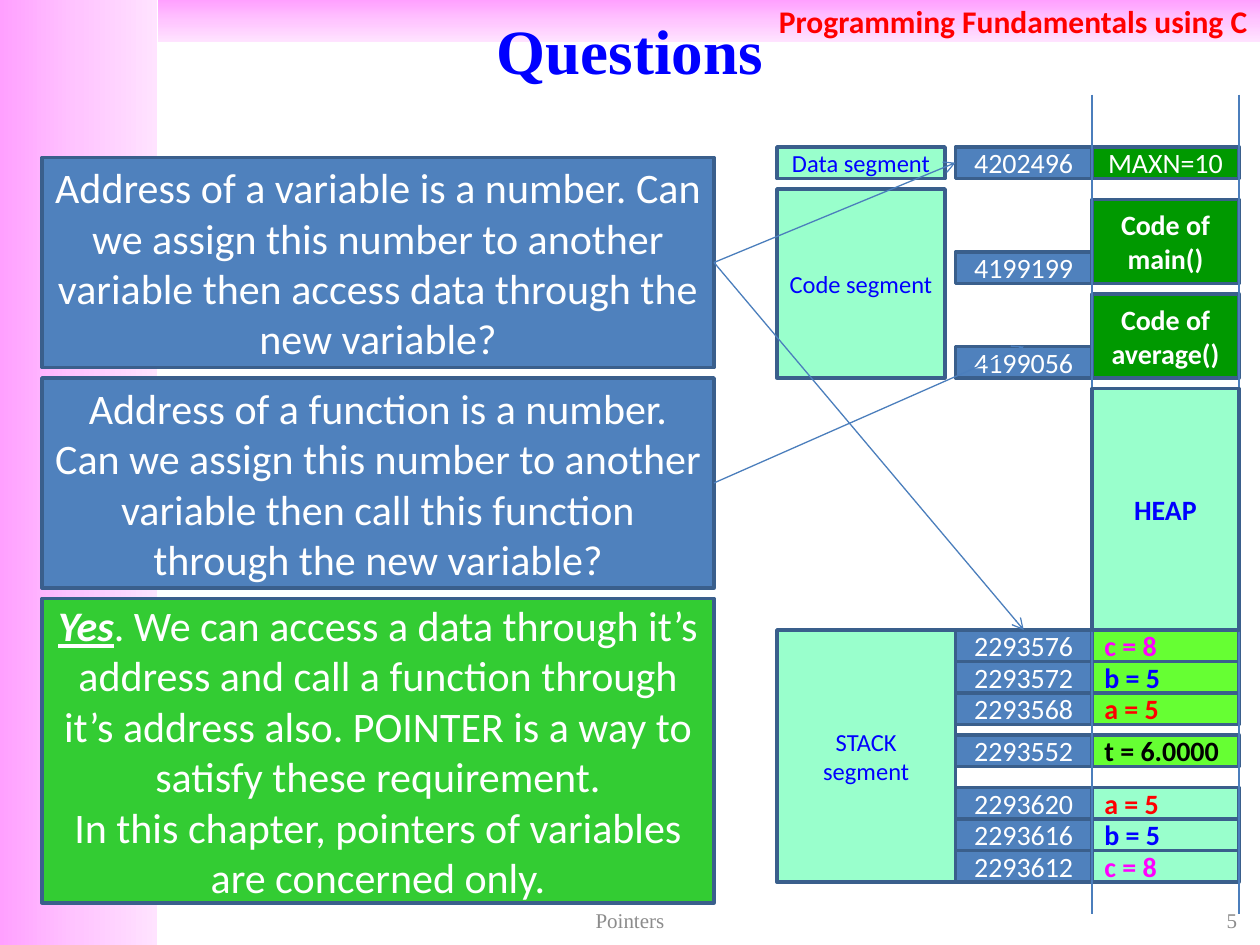
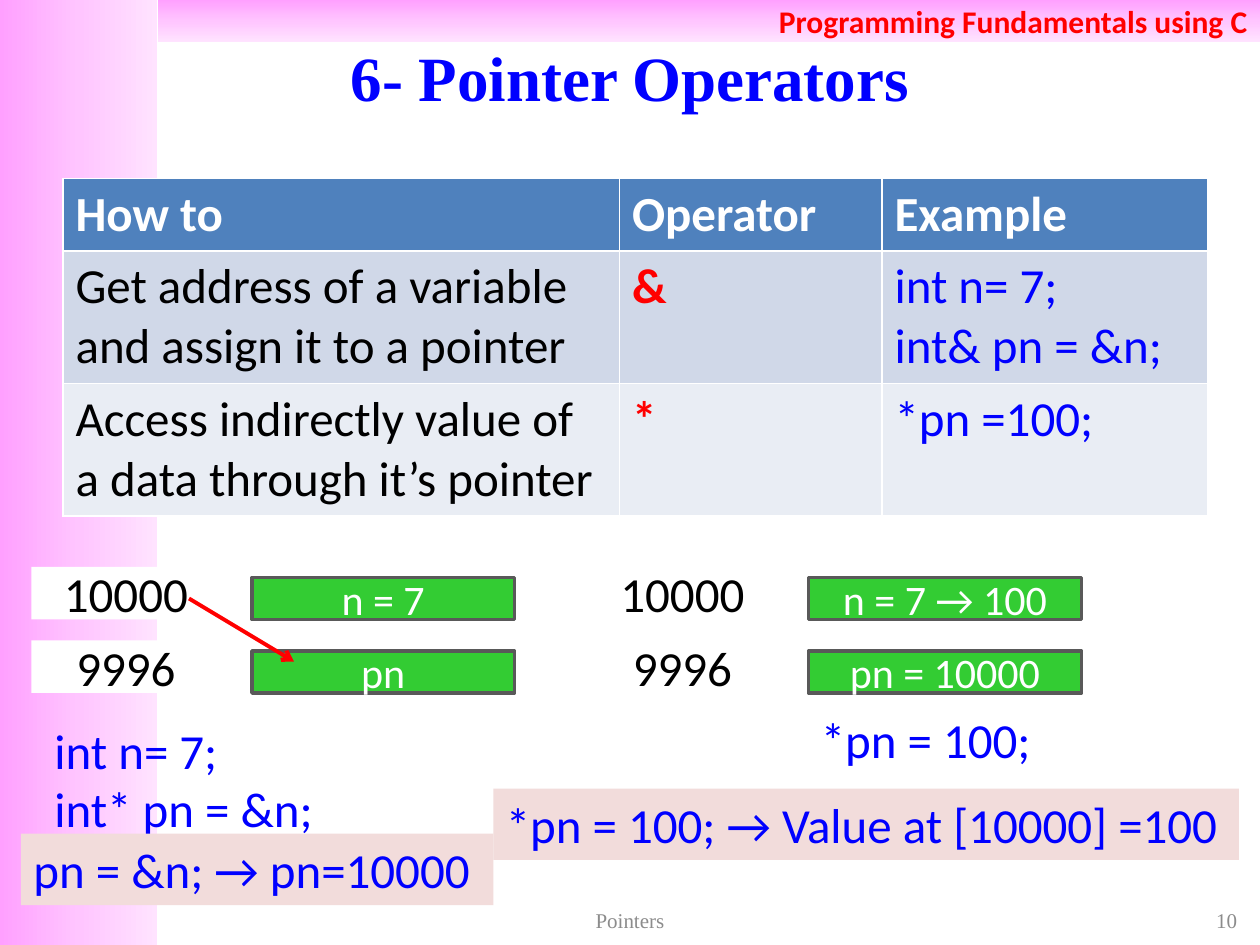
from dataclasses import dataclass
from typing import NamedTuple, Optional

from pptx import Presentation
from pptx.dml.color import RGBColor
from pptx.enum.shapes import MSO_CONNECTOR, MSO_SHAPE
from pptx.enum.text import MSO_ANCHOR, MSO_AUTO_SIZE, PP_ALIGN
from pptx.oxml import parse_xml
from pptx.oxml.ns import nsdecls
from pptx.oxml.xmlchemy import OxmlElement
from pptx.util import Inches, Pt

# Grid: 120 columns by 90 rows on a 10 x 7.5 inch slide
WIDTH, HEIGHT = Inches(10), Inches(7.5)
COLS, ROWS = 120, 90


@dataclass(frozen=True)
class Theme:
    body_font: str = "Calibri"
    title_font: str = "Times New Roman"
    white: str = "FFFFFF"
    black: str = "000000"
    red: str = "FF0000"
    blue: str = "0000FF"
    magenta: str = "FF00FF"
    grey: str = "8C8C8C"
    accent: str = "4F81BD"
    edge: str = "3A5F8C"
    dark_edge: str = "595959"
    wire: str = "4B7EBC"
    code: str = "009900"
    mint: str = "99FFCC"
    lime: str = "66FF33"
    green: str = "33CC33"
    rose: str = "F2DCDB"
    bands: tuple = ("D0D8E8", "E9EDF4")
    gradient: tuple = ("FFA0FF", "FFC5FF", "FFE3FF")
    title: int = 36
    large: int = 28
    medium: int = 24
    header: int = 18
    cell: int = 16
    label: int = 14
    footer: int = 12


T = Theme()


@dataclass(frozen=True)
class Box:
    """Text block on the grid; each line of text is a paragraph."""
    x: float
    y: float
    w: float
    h: float
    text: str = ""
    size: int = T.cell
    color: str = T.white
    fill: Optional[str] = None
    line: Optional[str] = None
    bold: bool = False
    align: PP_ALIGN = PP_ALIGN.CENTER
    anchor: MSO_ANCHOR = MSO_ANCHOR.MIDDLE
    font: str = T.body_font
    lead: str = ""


class MemoryCell(NamedTuple):
    row: float
    address: str
    value: str
    fill: str
    color: str


class Variable(NamedTuple):
    x: int
    y: int
    address: str
    value: str
    width: int


def col(n: float) -> int:
    return round(WIDTH * n / COLS)


def row(n: float) -> int:
    return round(HEIGHT * n / ROWS)


def area(x: float, y: float, w: float, h: float) -> tuple:
    return col(x), row(y), col(w), row(h)


def rgb(color: str) -> RGBColor:
    return RGBColor.from_string(color)


def add_run(p, text: str, size: int, color: str, bold: bool = False,
            font: str = T.body_font):
    r = p.add_run()
    r.text = text
    r.font.size, r.font.name, r.font.bold = Pt(size), font, bold
    r.font.color.rgb = rgb(color)
    return r


def write(tf, b: Box) -> None:
    tf.word_wrap = True
    tf.auto_size = MSO_AUTO_SIZE.NONE
    tf.vertical_anchor = b.anchor
    for i, line in enumerate(b.text.split("\n")):
        p = tf.paragraphs[0] if i == 0 else tf.add_paragraph()
        p.alignment = b.align
        if i == 0 and b.lead:
            r = add_run(p, b.lead, b.size, b.color, True, b.font)
            r.font.italic = r.font.underline = True
        add_run(p, line, b.size, b.color, b.bold, b.font)


def add_box(s, b: Box):
    place = area(b.x, b.y, b.w, b.h)
    if b.fill is None:
        sp = s.shapes.add_textbox(*place)
    else:
        sp = s.shapes.add_shape(MSO_SHAPE.RECTANGLE, *place)
        sp.shadow.inherit = False
        sp.fill.solid()
        sp.fill.fore_color.rgb = rgb(b.fill)
        if b.line:
            sp.line.color.rgb, sp.line.width = rgb(b.line), Pt(2)
        else:
            sp.line.fill.background()
    write(sp.text_frame, b)
    return sp


def add_line(s, x1: float, y1: float, x2: float, y2: float,
             color: str = T.wire, width: float = 0.75, arrow: bool = False):
    c = s.shapes.add_connector(MSO_CONNECTOR.STRAIGHT,
                               col(x1), row(y1), col(x2), row(y2))
    c.line.color.rgb, c.line.width = rgb(color), Pt(width)
    if arrow:
        tail = OxmlElement("a:tailEnd")
        tail.set("type", "arrow")
        c.line._get_or_add_ln().append(tail)
    c._element.spPr.append(OxmlElement("a:effectLst"))
    return c


def add_link(s, start, start_side: int, end, end_side: int) -> None:
    c = add_line(s, 0, 0, 1, 1, arrow=True)
    c.begin_connect(start, start_side)
    c.end_connect(end, end_side)


# Shared bands, moved from a slide into its layout
def add_bands(s) -> None:
    bands = ((Box(0, 0, 15, ROWS), 0),
             (Box(15, 0, 105, 4, "Programming Fundamentals using C", T.header,
                  T.red, bold=True, align=PP_ALIGN.RIGHT), 90))
    for i, (b, angle) in enumerate(bands):
        sp = s.shapes.add_shape(MSO_SHAPE.RECTANGLE, *area(b.x, b.y, b.w, b.h))
        stops = "".join(f'<a:gs pos="{k * 50000}"><a:srgbClr val="{c}"/></a:gs>'
                        for k, c in enumerate(T.gradient))
        sp._element.spPr.append(parse_xml(
            f'<a:gradFill {nsdecls("a")}><a:gsLst>{stops}</a:gsLst>'
            f'<a:lin ang="{angle * 60000}" scaled="0"/></a:gradFill>'))
        sp.line.fill.background()
        sp.shadow.inherit = False
        if b.text:
            write(sp.text_frame, b)
        s.slide_layout.shapes.element.insert(2 + i, sp._element)


def set_title(s, b: Box) -> None:
    sp = s.shapes.title
    sp.left, sp.top, sp.width, sp.height = area(b.x, b.y, b.w, b.h)
    write(sp.text_frame, b)


def add_footer(s, number: int) -> None:
    for x, w, text, align in ((41, 38, "Pointers", PP_ALIGN.CENTER),
                              (91, 28, str(number), PP_ALIGN.RIGHT)):
        add_box(s, Box(x, 86, w, 3.2, text, T.footer, T.grey, align=align,
                       font=T.title_font))


def title_box(x: float, y: float, w: float, text: str) -> Box:
    return Box(x, y, w, 7.4, text, T.title, T.blue, bold=True,
               font=T.title_font)


# Slide: questions and the memory map
CELLS = (
    MemoryCell(60, "2293576", "c = 8", T.lime, T.magenta),
    MemoryCell(63, "2293572", "b = 5", T.lime, T.blue),
    MemoryCell(66, "2293568", "a = 5", T.lime, T.red),
    MemoryCell(70, "2293552", "t = 6.0000", T.lime, T.black),
    MemoryCell(75, "2293620", "a = 5", T.mint, T.red),
    MemoryCell(78, "2293616", "b = 5", T.mint, T.blue),
    MemoryCell(81, "2293612", "c = 8", T.mint, T.magenta),
)
ADDRESSES = ((14, "4202496"), (24, "4199199"), (33, "4199056"))
BLOCKS = (
    Box(104, 14, 14, 3, "MAXN=10", fill=T.code, line=T.edge),
    Box(104, 19, 14, 8, "Code of main()", fill=T.code, line=T.edge, bold=True),
    Box(104, 28, 14, 8, "Code of average()", fill=T.code, line=T.edge,
        bold=True),
)
HEAP = Box(104, 37, 14, 23, "HEAP", color=T.blue, fill=T.mint, line=T.edge,
           bold=True)
SEGMENTS = ((14, 16, 3, "Data segment"), (18, 16, 18, "Code segment"),
            (60, 17, 24, "STACK\nsegment"))
PANELS = (
    (15, 20, T.accent, "", "Address of a variable is a number. Can we assign "
     "this number to another variable then access data through the new "
     "variable?"),
    (36, 20, T.accent, "", "Address of a function is a number. Can we assign "
     "this number to another variable then call this function through the "
     "new variable?"),
    (57, 29, T.green, "Yes", ". We can access a data through it’s address and "
     "call a function through it’s address also. POINTER is a way to satisfy "
     "these requirement.\nIn this chapter, pointers of variables are "
     "concerned only."),
)


def build_questions(s) -> None:
    set_title(s, title_box(2, 1, 116, "Questions"))
    # Addresses and values
    labels = ADDRESSES + tuple((c.row, c.address) for c in CELLS)
    address = {text: add_box(s, Box(91, y, 13, 3, text, fill=T.accent,
                                    line=T.edge)) for y, text in labels}
    for b in BLOCKS:
        add_box(s, b)
    for c in CELLS:
        add_box(s, Box(104, c.row, 14, 3, c.value, color=c.color, fill=c.fill,
                       line=T.edge, bold=True, align=PP_ALIGN.LEFT))
    for x in (104, 118):
        add_line(s, x, 9, x, 87)
    # Segments
    add_box(s, HEAP)
    for y, w, h, text in SEGMENTS:
        add_box(s, Box(74, y, w, h, text, T.label, T.blue, T.mint, T.edge))
    # Questions, answer and arrows
    variable, function, _ = [
        add_box(s, Box(4, y, 64, h, text, T.medium, fill=fill, line=T.edge,
                       lead=lead)) for y, h, fill, lead, text in PANELS]
    add_link(s, variable, 3, address["2293576"], 0)
    add_link(s, variable, 3, address["4202496"], 1)
    add_link(s, function, 3, address["4199056"], 0)


# Slide: pointer operators
OPERATORS = (
    ("How to", "Operator", "Example"),
    ("Get address of a variable and assign it to a pointer", "&",
     "int n= 7;\nint& pn = &n;"),
    ("Access indirectly value of a data through it’s pointer", "*",
     "*pn =100;"),
)
VARIABLES = (
    Variable(3, 54, "10000", "n = 7", 25),
    Variable(3, 61, "9996", "pn", 25),
    Variable(56, 54, "10000", "n = 7 → 100", 26),
    Variable(56, 61, "9996", "pn = 10000", 26),
)
STATEMENTS = (
    (4, 68, 36, 12.5, "int n= 7;\nint* pn = &n;", None),
    (77, 67, 24, 6.8, "*pn = 100;", None),
    (47, 75.1, 71, 6.8, "*pn = 100; → Value at [10000] =100", T.rose),
    (2, 79.4, 45, 6.8, "pn = &n; → pn=10000", T.rose),
)


def add_operator_table(s) -> None:
    widths, heights = (53, 25, 31), (6.8, 12.6, 12.6)
    table = s.shapes.add_table(
        3, 3, *area(6, 17, sum(widths), sum(heights))).table
    for i, w in enumerate(widths):
        table.columns[i].width = col(w)
    for i, (h, texts) in enumerate(zip(heights, OPERATORS)):
        table.rows[i].height = row(h)
        for j, text in enumerate(texts):
            cell = table.cell(i, j)
            cell.fill.solid()
            cell.fill.fore_color.rgb = rgb((T.accent, *T.bands)[i])
            color = (T.black, T.red, T.blue)[j] if i else T.white
            for k, line in enumerate(text.split("\n")):
                tf = cell.text_frame
                p = tf.add_paragraph() if k else tf.paragraphs[0]
                add_run(p, line, T.large, color, i == 0 or j == 1)


def build_operators(s) -> None:
    set_title(s, title_box(0, 3.6, 120, "6- Pointer Operators"))
    add_operator_table(s)
    # Variables in memory
    for v in VARIABLES:
        add_box(s, Box(v.x, v.y, 18, 5, v.address, T.large, T.black, T.white))
        add_box(s, Box(v.x + 21, v.y + 1, v.width, 4, v.value, T.medium,
                       fill=T.green, line=T.dark_edge))
    add_line(s, 18, 57, 28, 63, T.red, 2.25, arrow=True)
    # Statements
    for x, y, w, h, text, fill in STATEMENTS:
        add_box(s, Box(x, y, w, h, text, T.large, T.blue, fill,
                       align=PP_ALIGN.LEFT, anchor=MSO_ANCHOR.TOP))


def main() -> None:
    prs = Presentation()
    prs.slide_width, prs.slide_height = WIDTH, HEIGHT
    layout = prs.slide_layouts[5]
    for i, (build, number) in enumerate(((build_questions, 5),
                                         (build_operators, 10))):
        s = prs.slides.add_slide(layout)
        if i == 0:
            add_bands(s)
        build(s)
        add_footer(s, number)
    prs.save("out.pptx")


if __name__ == "__main__":
    main()
